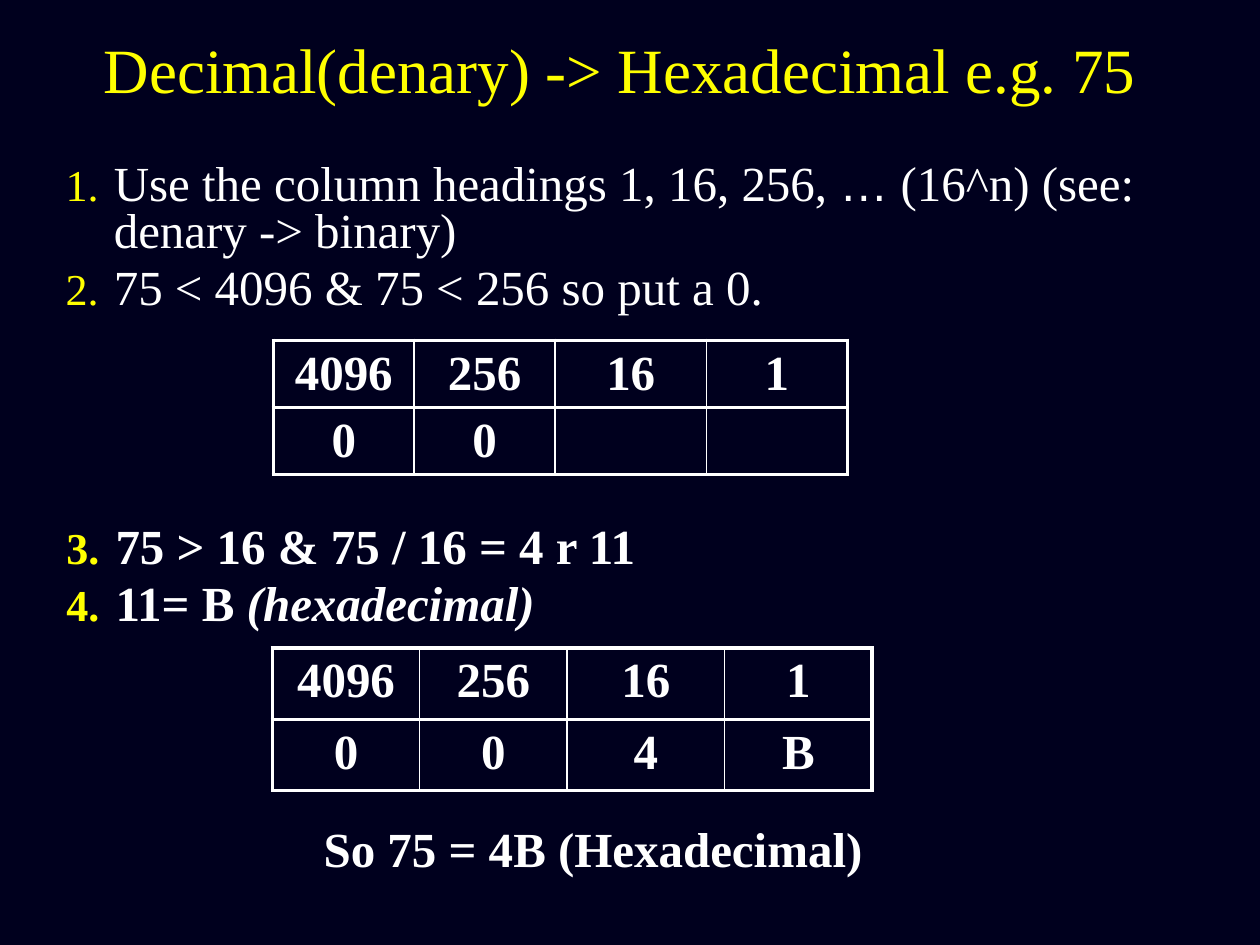
from lxml.etree import SubElement
from pptx import Presentation
from pptx.dml.color import RGBColor
from pptx.enum.text import MSO_ANCHOR as Anchor, MSO_AUTO_SIZE as AutoSize, PP_ALIGN as Align
from pptx.oxml import parse_xml
from pptx.oxml.ns import nsdecls, qn
from pptx.util import Cm, Pt

COLORS = {"background": "00001E", "accent": "FFFF00", "text": "FFFFFF"}
FONT = "Times New Roman"
THIN, THICK = Pt(1), Pt(2.25)


class SlideBuilder:
    """Holds the style and the current slide."""

    def __init__(self, page):
        self.page = page
        fill = page.background.fill
        fill.solid()
        fill.fore_color.rgb = RGBColor.from_string(COLORS["background"])

    def place(self, box, left, top, width, height, anchor=Anchor.TOP):
        box.left, box.top, box.width, box.height = map(Cm, (left, top, width, height))
        frame = box.text_frame
        frame.word_wrap = True
        frame.auto_size = AutoSize.NONE
        frame.vertical_anchor = anchor
        return frame

    def style(self, span, size=28, color="text", bold=False, font=FONT):
        span.font.name = font
        span.font.size = Pt(size)
        span.font.bold = bold
        span.font.color.rgb = RGBColor.from_string(COLORS[color])

    def tighten(self, para):
        para.line_spacing = 0.8
        para.space_before = Pt(5.6)

    def number(self, para, start, indent):
        props = para._p.get_or_add_pPr()
        props.set("marL", str(Cm(indent)))
        props.set("indent", str(-Cm(indent)))
        color = SubElement(props, qn("a:buClr"))
        SubElement(color, qn("a:srgbClr"), val=COLORS["accent"])
        SubElement(props, qn("a:buSzPct"), val="90000")
        SubElement(props, qn("a:buFont"), typeface=FONT)
        SubElement(props, qn("a:buAutoNum"), type="arabicPeriod", startAt=str(start))

    def title(self, text, *area):
        frame = self.place(self.page.shapes.title, *area, anchor=Anchor.MIDDLE)
        frame.text = text
        para = frame.paragraphs[0]
        para.alignment = Align.CENTER
        self.style(para.runs[0], size=36, color="accent")

    def numbered_list(self, box, items, area, start=1, indent=0.97, bold=False):
        """Each item is a list of text pieces."""
        frame = self.place(box, *area)
        for index, pieces in enumerate(items):
            para = frame.paragraphs[0] if index == 0 else frame.add_paragraph()
            self.tighten(para)
            self.number(para, start, indent)
            for piece in pieces:
                span = para.add_run()
                span.text = piece
                self.style(span, bold=bold, font="Arial" if piece == "…" else FONT)
        return frame

    def text_box(self):
        return self.page.shapes.add_textbox(0, 0, 0, 0)

    def conclusion(self, text, *area):
        frame = self.place(self.text_box(), *area)
        frame.text = text
        para = frame.paragraphs[0]
        para.alignment = Align.CENTER
        self.tighten(para)
        self.style(para.runs[0], bold=True)

    def border(self, cell, sides):
        props = cell._tc.get_or_add_tcPr()
        for position, (side, width) in enumerate(sides.items()):
            props.insert(position, parse_xml(
                f'<a:ln{side} {nsdecls("a")} w="{width}"><a:solidFill>'
                f'<a:srgbClr val="{COLORS["text"]}"/></a:solidFill></a:ln{side}>'))

    def table(self, rows, left, top, widths, row_height):
        grid = self.page.shapes.add_table(
            len(rows), len(widths), Cm(left), Cm(top),
            Cm(sum(widths)), Cm(row_height * len(rows))).table
        grid.first_row = grid.horz_banding = False
        for column, width in zip(grid.columns, widths):
            column.width = Cm(width)
        last = len(widths) - 1
        for r, values in enumerate(rows):
            grid.rows[r].height = Cm(row_height)
            for c, value in enumerate(values):
                cell = grid.cell(r, c)
                cell.fill.background()
                self.border(cell, {"L": THICK if c == 0 else THIN,
                                   "R": THICK if c == last else THIN,
                                   "T": THICK, "B": THICK})
                cell.text = value
                para = cell.text_frame.paragraphs[0]
                para.alignment = Align.CENTER
                for span in para.runs:
                    self.style(span, bold=True)


def main():
    deck = Presentation()
    deck.slide_width, deck.slide_height = Cm(25.4), Cm(19.05)
    page = deck.slides.add_slide(deck.slide_layouts[1])
    builder = SlideBuilder(page)
    headings = ["4096", "256", "16", "1"]

    # Title and first two steps
    builder.title("Decimal(denary) -> Hexadecimal e.g. 75", 1.07, 0.43, 22.86, 1.9)
    builder.numbered_list(
        page.placeholders[1],
        [["Use the column headings 1, 16, 256, ", "…", " (16^n) (see: denary -> binary)"],
         ["75 < 4096 & 75 < 256 so put a 0."]],
        (1.07, 3.18, 23.06, 2.11))

    # Table with the leading zeros
    builder.table([headings, ["0", "0", "", ""]], 5.51, 6.86, [2.84, 2.84, 3.05, 2.84], 1.35)

    # Last two steps
    steps = builder.numbered_list(
        builder.text_box(),
        [["75 > 16 & 75 / 16 = 4 r 11"], ["11= B ", "(hexadecimal)"]],
        (1.09, 10.5, 23.06, 2.11), start=3, indent=0.99, bold=True)
    steps.paragraphs[1].runs[1].font.italic = True

    # Completed table and result
    builder.table([headings, ["0", "0", "4", "B"]], 5.49, 13.06, [2.97, 2.97, 3.18, 2.97], 1.44)
    builder.conclusion("So 75 = 4B (Hexadecimal)", 2.11, 16.6, 19.69, 1.5)

    deck.save("out.pptx")


if __name__ == "__main__":
    main()
